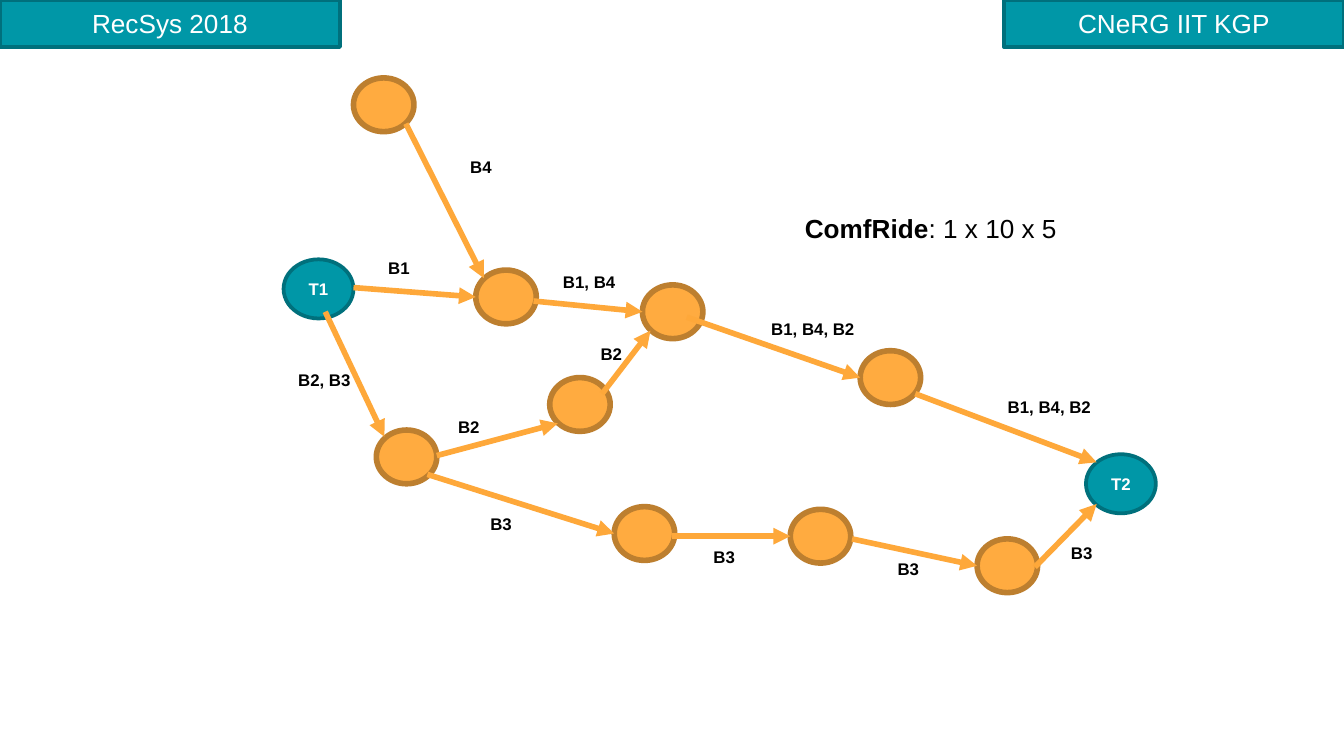
import pptx
import pptx.util
import pptx.dml.color
import pptx.enum.shapes
import pptx.enum.text
import pptx.oxml.ns
import lxml.etree

Inches = pptx.util.Inches
Pt = pptx.util.Pt
RGBColor = pptx.dml.color.RGBColor
Shapes = pptx.enum.shapes.MSO_SHAPE

TEAL = RGBColor(0x00, 0x97, 0xA7)
DARK_TEAL = RGBColor(0x00, 0x70, 0x7C)
ORANGE = RGBColor(0xFF, 0xAB, 0x40)
BROWN = RGBColor(0xBD, 0x7F, 0x2F)
ARROW_ORANGE = RGBColor(0xFE, 0xA8, 0x3A)
WHITE = RGBColor(0xFF, 0xFF, 0xFF)
BLACK = RGBColor(0x00, 0x00, 0x00)

SLIDE_WIDTH = 10
SLIDE_HEIGHT = SLIDE_WIDTH * 9 / 16
BANNER_SIZE = (2.53, 0.35)
TERMINAL_SIZE = (0.52, 0.44)
STOP_SIZE = (0.45, 0.4)
LABEL_HEIGHT = 0.25

# Content: left and top of each shape
banners = [("CNeRG IIT KGP", SLIDE_WIDTH - BANNER_SIZE[0]), ("RecSys 2018", 0)]
terminals = [("T1", 2.11, 1.93), ("T2", 8.08, 3.38)]
stops = [
    (2.63, 0.58), (3.54, 2.01), (4.78, 2.12), (6.4, 2.61), (2.8, 3.2),
    (4.09, 2.81), (4.57, 3.77), (5.88, 3.79), (7.27, 4.01),
]
# Each leg: start, end, bus names, left and top of the label
legs = [
    ((3.02, 0.92), (3.6, 2.07), "B4", (3.4, 1.12)),
    ((2.63, 2.14), (3.54, 2.21), "B1", (2.79, 1.87)),
    ((3.97, 2.24), (4.78, 2.32), "B1, B4", (4.09, 1.97)),
    ((5.11, 2.36), (6.4, 2.81), "B1, B4, B2", (5.64, 2.32)),
    ((6.81, 2.93), (8.16, 3.44), "B1, B4, B2", (7.4, 2.9)),
    ((2.42, 2.32), (2.86, 3.25), "B2, B3", (2.12, 2.7)),
    ((3.25, 3.39), (4.15, 3.15), "B2", (3.31, 3.05)),
    ((4.48, 2.93), (4.84, 2.46), "B2", (4.37, 2.51)),
    ((3.18, 3.53), (4.57, 3.97), "B3", (3.55, 3.77)),
    ((5, 3.99), (5.88, 3.99), "B3", (5.21, 4.02)),
    ((6.34, 4.01), (7.27, 4.21), "B3", (6.58, 4.11)),
    ((7.7, 4.22), (8.16, 3.75), "B3", (7.87, 3.99)),
]
label_widths = {1: 0.36, 2: 0.59, 3: 0.83}  # by number of buses
caption = [("ComfRide", True), (": 1 x 10 x 5", False)]

presentation = pptx.Presentation()
presentation.slide_width = Inches(SLIDE_WIDTH)
presentation.slide_height = Inches(SLIDE_HEIGHT)
slide = presentation.slides.add_slide(presentation.slide_layouts[6])


def add_runs(paragraph, runs, size, color):
    for text, bold in runs:
        run = paragraph.add_run()
        run.text = text
        run.font.name = "Arial"
        run.font.size = Pt(size)
        run.font.bold = bold
        run.font.color.rgb = color


def add_box(kind, position, size, fill, outline, weight, runs=(), text_size=9):
    shape = slide.shapes.add_shape(kind, *map(Inches, position + size))
    shape.shadow.inherit = False
    shape.fill.solid()
    shape.fill.fore_color.rgb = fill
    shape.line.color.rgb = outline
    shape.line.width = Pt(weight)
    if runs:
        frame = shape.text_frame
        frame.vertical_anchor = pptx.enum.text.MSO_ANCHOR.MIDDLE
        paragraph = frame.paragraphs[0]
        paragraph.alignment = pptx.enum.text.PP_ALIGN.CENTER
        add_runs(paragraph, runs, text_size, WHITE)


def add_label(position, size, runs, text_size):
    frame = slide.shapes.add_textbox(*map(Inches, position + size)).text_frame
    frame.word_wrap = False
    frame.auto_size = pptx.enum.text.MSO_AUTO_SIZE.SHAPE_TO_FIT_TEXT
    add_runs(frame.paragraphs[0], runs, text_size, BLACK)


def add_arrow(start, end):
    arrow = slide.shapes.add_connector(
        pptx.enum.shapes.MSO_CONNECTOR.STRAIGHT, *map(Inches, start + end))
    arrow.line.color.rgb = ARROW_ORANGE
    arrow.line.width = Pt(3)
    qn = pptx.oxml.ns.qn
    line = arrow.line._get_or_add_ln()
    lxml.etree.SubElement(line, qn("a:tailEnd"), type="triangle")
    lxml.etree.SubElement(line.getparent(), qn("a:effectLst"))


# Header banners
for text, left in banners:
    add_box(Shapes.RECTANGLE, (left, 0), BANNER_SIZE, TEAL, DARK_TEAL, 2,
            [(text, False)], 14)

# Network nodes
for name, left, top in terminals:
    add_box(Shapes.OVAL, (left, top), TERMINAL_SIZE, TEAL, DARK_TEAL, 2,
            [(name, True)])
for position in stops:
    add_box(Shapes.OVAL, position, STOP_SIZE, ORANGE, BROWN, 3)

# Legs, with their labels on top
for start, end, buses, position in legs:
    add_arrow(start, end)
for start, end, buses, position in legs:
    width = label_widths[len(buses.split(", "))]
    add_label(position, (width, LABEL_HEIGHT), [(buses, True)], 9)

# Caption
add_label((5.89, 1.53), (2.08, 0.34), caption, 14)

presentation.save("out.pptx")
